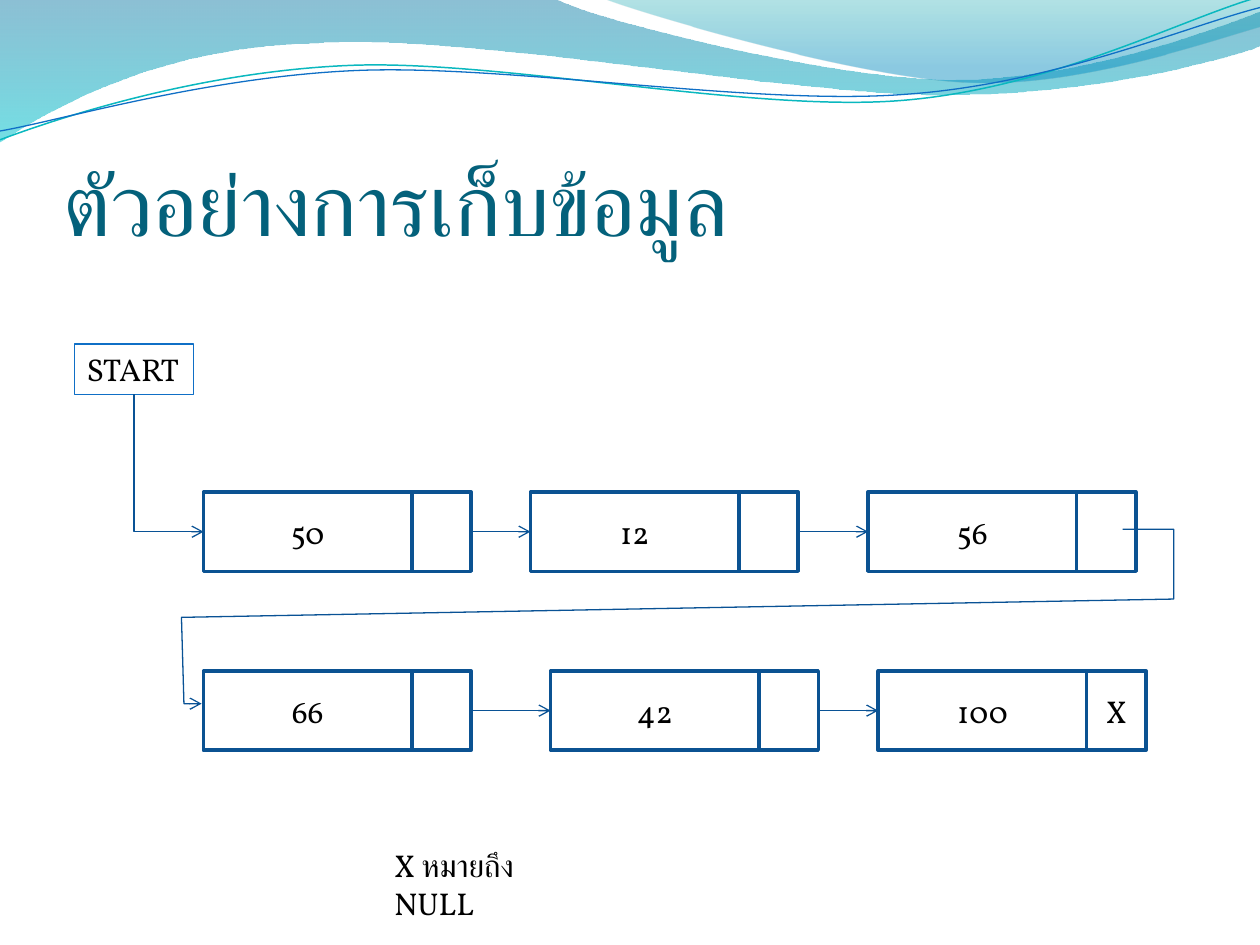
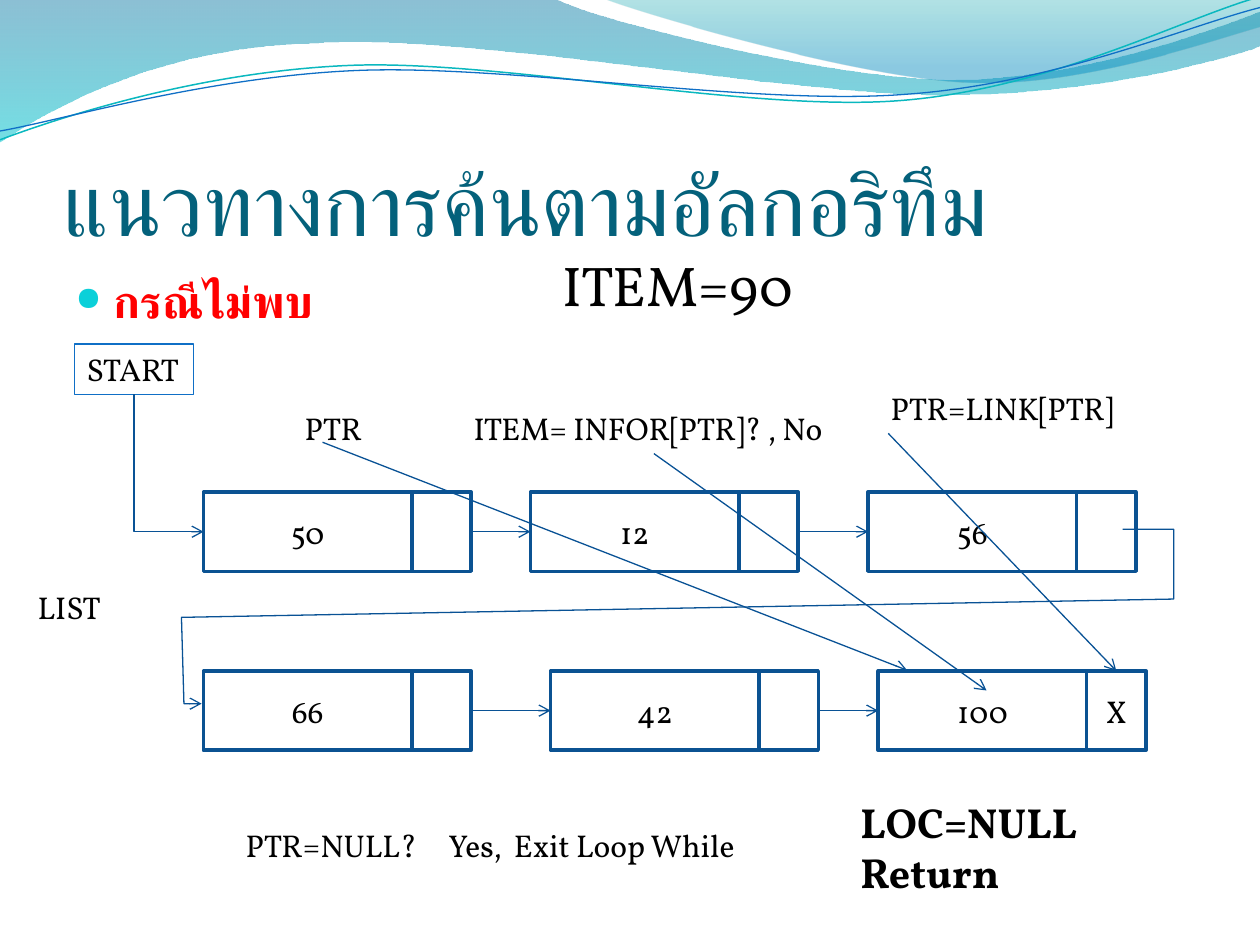
from dataclasses import dataclass

from lxml.etree import SubElement
from pptx import Presentation
from pptx.dml.color import RGBColor
from pptx.enum.shapes import MSO_CONNECTOR as Link, MSO_SHAPE as Preset
from pptx.enum.text import MSO_ANCHOR as Anchor, PP_ALIGN as Align
from pptx.oxml.ns import qn
from pptx.util import Inches, Pt

# Grid of 100 columns and 75 rows, with square cells
SLIDE_WIDTH, SLIDE_HEIGHT = Inches(10), Inches(7.5)
CELL = SLIDE_WIDTH / 100


@dataclass(frozen=True)
class Theme:
    heading_font: str = "Calibri"
    body_font: str = "Vollkorn"
    title: str = "04617B"
    text: str = "000000"
    alert: str = "FF0000"
    bullet: str = "0BD0D9"
    node_fill: str = "FFFFFF"
    node_line: str = "0B5292"
    arrow: str = "095295"
    accent: str = "0F6FC6"
    teal: str = "0AB8BF"
    title_size: float = 50
    item_size: float = 32
    bullet_size: float = 26
    result_size: float = 24
    label_size: float = 18
    thin: float = 0.75
    thick: float = 2


THEME = Theme()


@dataclass(frozen=True)
class Box:
    """An area in grid columns and rows."""
    left: float
    top: float
    width: float
    height: float

    def inner(self, left, top, width, height):
        return Box(self.left + left, self.top + top, width, height)

    def point(self, column, row):
        return grid(self.left + column), grid(self.top + row)

    def emu(self):
        return [grid(n) for n in (self.left, self.top, self.width, self.height)]


PAGE = Box(0, 0, 100, 75)
TITLE = Box(5.05, 7.65, 90, 12.5)
DIAGRAM = Box(5.9, 27.3, 87.2, 32.2)


def grid(cells):
    return round(cells * CELL)


def rgb(value):
    return RGBColor.from_string(value)


# Formatting helpers
def set_line(shape, color, width, arrow=False):
    shape.line.color.rgb = rgb(color)
    shape.line.width = Pt(width)
    if arrow:
        SubElement(shape._element.spPr.find(qn("a:ln")), qn("a:tailEnd"), type="arrow")


def write(shape, text, size, font=THEME.body_font, color=THEME.text, bold=False,
          align=Align.LEFT, anchor=Anchor.TOP):
    frame = shape.text_frame
    frame.text = text
    frame.word_wrap = True
    frame.vertical_anchor = anchor
    for para in frame.paragraphs:
        para.alignment = align
        for span in para.runs:
            span.font.name = font
            span.font.size = Pt(size)
            span.font.bold = bold
            span.font.color.rgb = rgb(color)
    return frame


def add_text(page, box, text, size=THEME.label_size, **style):
    return write(page.shapes.add_textbox(*box.emu()), text, size, **style)


def add_rectangle(page, box, line, width, fill=None):
    shape = page.shapes.add_shape(Preset.RECTANGLE, *box.emu())
    shape.shadow.inherit = False
    if fill:
        shape.fill.solid()
        shape.fill.fore_color.rgb = rgb(fill)
    else:
        shape.fill.background()
    set_line(shape, line, width)
    return shape


def add_arrow(page, start=(0, 0), end=(0, 0), source=None, target=None,
              target_side=1, kind=Link.STRAIGHT, source_side=3):
    arrow = page.shapes.add_connector(kind, *start, *end)
    if source is not None:
        arrow.begin_connect(source, source_side)
    if target is not None:
        arrow.end_connect(target, target_side)
    set_line(arrow, THEME.arrow, THEME.thin, arrow=True)
    SubElement(arrow._element.spPr, qn("a:effectLst"))
    return arrow


def add_outline(page, box, steps, closed=False):
    """Draw steps: pairs are corners, sixes are cubic curves."""
    knots = [box.point(*step[-2:]) for step in steps]
    builder = page.shapes.build_freeform(*knots[0])
    builder.add_line_segments(knots[1:], close=closed)
    shape = builder.convert_to_shape()
    shape.shadow.inherit = False
    shape.fill.background()
    segments = list(shape._element.spPr.iter(qn("a:lnTo")))
    for segment, step in zip(segments, steps[1:]):
        if len(step) == 6:
            segment.clear()
            segment.tag = qn("a:cubicBezTo")
            for index in (0, 2, 4):
                x, y = box.point(*step[index:index + 2])
                SubElement(segment, qn("a:pt"), x=str(x - shape.left), y=str(y - shape.top))
    return shape


# Wave band
BROAD_WAVE = [
    (0, 0), (44, -0.1), (47.6, 1.7, 66.4, 6.3, 75.8, 6.3),
    (85.3, 6.3, 95.8, 2.6, 100, 0.9), (100.1, 3.6),
    (98.3, 4.4, 87, 7.6, 74.6, 7.5), (62.2, 7.5, 38.2, 2.8, 25.7, 3.4),
    (12.9, 3.6, 4.6, 8.3, -0.1, 11.3), (0, 0)]
RIGHT_WAVE = [
    (47.9, -0.1), (50.9, 1.1, 68.2, 6.2, 76.9, 6.5),
    (85.6, 6.9, 96.1, 3.2, 100, 2.1), (100, 0), (47.9, -0.1)]
TEAL_CURVE = [
    (0, 11.1), (4.8, 9.3, 15.8, 5.7, 27.7, 5.2),
    (39.5, 4.7, 59.3, 8.9, 71.3, 8), (83.3, 7.1, 93.8, 1.5, 99.8, -0.2)]
BLUE_CURVE = [
    (0, 10.4), (4.7, 9.6, 16.4, 6.1, 28.3, 5.6),
    (40.3, 5.1, 59.7, 8.4, 71.7, 7.5), (83.6, 6.7, 94.1, 2.1, 100, 0.6)]


def wave_band(page, box):
    fills = [(BROAD_WAVE, [(0, "0074A1", 45), (1, "00C6CF", 55)]),
             (RIGHT_WAVE, [(0, "00A1A9", 30), (0.8, "008BBF", 45)])]
    for steps, stops in fills:
        wave = add_outline(page, box, steps, closed=True)
        wave.line.fill.background()
        wave.fill.gradient()
        wave.fill.gradient_angle = 270
        for stop, (position, color, _) in zip(wave.fill.gradient_stops, stops):
            stop.position = position
            stop.color.rgb = rgb(color)
        colors = wave._element.spPr.iter(qn("a:srgbClr"))
        for element, (_, _, opacity) in zip(colors, stops):
            SubElement(element, qn("a:alpha"), val=str(opacity * 1000))
    for steps, color, width in [(TEAL_CURVE, THEME.teal, 0.85),
                                (BLUE_CURVE, THEME.accent, THEME.thin)]:
        set_line(add_outline(page, box, steps), color, width)


def title_region(page, box, text):
    frame = add_text(page, box, text, THEME.title_size, font=THEME.heading_font,
                     color=THEME.title, anchor=Anchor.BOTTOM)
    frame.margin_left = frame.margin_right = frame.margin_bottom = 0


# Linked list diagram
INFO_WIDTH, LINK_WIDTH, NODE_HEIGHT = 16.55, 4.7, 6.3
LIST_ROWS = [
    (11.75, [(10.25, "50", ""), (36.2, "12", ""), (63, "56", "")]),
    (25.95, [(10.25, "66", ""), (37.8, "42", ""), (63.8, "100", "X")])]
ROW_RETURN = [(83.2, 14.7), (87.25, 14.7), (87.25, 20.25),
              (8.5, 21.7), (8.7, 28.55), (10.1, 28.55)]


def list_node(page, box, info, link):
    cells = []
    for offset, width, text in [(0, INFO_WIDTH, info),
                                (INFO_WIDTH, LINK_WIDTH, link)]:
        cell = add_rectangle(page, box.inner(offset, 0, width, box.height),
                             THEME.node_line, THEME.thick, THEME.node_fill)
        if text:
            write(cell, text, THEME.label_size, align=Align.CENTER, anchor=Anchor.MIDDLE)
        cells.append(cell)
    return cells


def start_arrow(page, start, first):
    arrow = add_arrow(page, source=start, source_side=2, target=first, kind=Link.ELBOW)
    # One bend: the frame is turned a quarter about its centre
    left, top, width, height = arrow.left, arrow.top, arrow.width, arrow.height
    arrow.left = left + (width - height) // 2
    arrow.top = top + (height - width) // 2
    arrow.width, arrow.height = height, width
    properties = arrow._element.spPr
    properties.find(qn("a:prstGeom")).set("prst", "bentConnector2")
    frame = properties.find(qn("a:xfrm"))
    frame.set("rot", str(270 * 60000))
    frame.set("flipH", "1")


def linked_list(page, box):
    """Draw the list and return its last link cell."""
    start = add_rectangle(page, box.inner(0, 0, 9.45, 4), THEME.accent, THEME.thin)
    write(start, "START", THEME.label_size)
    rows = [[list_node(page, box.inner(left, top, INFO_WIDTH + LINK_WIDTH, NODE_HEIGHT),
                       info, link) for left, info, link in nodes]
            for top, nodes in LIST_ROWS]
    start_arrow(page, start, rows[0][0][0])
    for row in rows:
        for (_, link), (info, _) in zip(row, row[1:]):
            add_arrow(page, source=link, target=info)
    turn = add_outline(page, box, ROW_RETURN)
    set_line(turn, THEME.arrow, THEME.thin, arrow=True)
    return rows[-1][-1][1]


# Search notes around the list
def case_bullet(page, box, text):
    frame = add_text(page, box, text, THEME.bullet_size, color=THEME.alert, bold=True)
    properties = frame.paragraphs[0]._p.get_or_add_pPr()
    properties.set("marL", str(Inches(0.3)))
    properties.set("indent", str(-Inches(0.3)))
    SubElement(SubElement(properties, qn("a:buClr")), qn("a:srgbClr"), val=THEME.bullet)
    SubElement(properties, qn("a:buSzPct"), val="73000")
    SubElement(properties, qn("a:buChar"), char="●")


def search_notes(page, box, last_link):
    for area, text in [((23.2, 32, 6.6, 4), "PTR"),
                       ((36.6, 32, 30.5, 4), "ITEM= INFOR[PTR]? , No"),
                       ((69.7, 30.4, 20.2, 4), "PTR=LINK[PTR]"),
                       ((2, 46.2, 7.1, 4), "LIST")]:
        add_text(page, box.inner(*area), text)
    add_arrow(page, box.point(25.6, 35.1), box.point(72, 53.2))
    add_arrow(page, box.point(51.9, 36), box.point(78.3, 54.8))
    add_arrow(page, box.point(70.5, 34.4), target=last_link, target_side=0)
    add_text(page, box.inner(43.7, 19.4, 20.3, 6.4), "ITEM=90", THEME.item_size)
    add_text(page, box.inner(67.3, 62.7, 19.8, 9.1), "LOC=NULL\nReturn",
             THEME.result_size, bold=True)
    # Loop exit, spaced by tab stops
    frame = add_text(page, box.inner(18.5, 65.1, 41.8, 4),
                     "PTR=NULL?\tYes,\tExit Loop While")
    stops = SubElement(frame.paragraphs[0]._p.get_or_add_pPr(), qn("a:tabLst"))
    for position in (1.61, 2.13):
        SubElement(stops, qn("a:tab"), pos=str(Inches(position)), algn="l")


# Slides
def list_slide(deck, title):
    page = deck.slides.add_slide(deck.slide_layouts[6])
    wave_band(page, PAGE)
    title_region(page, TITLE, title)
    return page, linked_list(page, DIAGRAM)


def main():
    deck = Presentation()
    deck.slide_width, deck.slide_height = SLIDE_WIDTH, SLIDE_HEIGHT

    page, _ = list_slide(deck, "ตัวอย่างการเก็บข้อมูล")
    add_text(page, PAGE.inner(30.3, 66.65, 17.4, 4), "X หมายถึง NULL")

    page, last_link = list_slide(deck, "แนวทางการค้นตามอัลกอริทึม")
    case_bullet(page, PAGE.inner(5, 21.2, 90, 48), "กรณีไม่พบ")
    search_notes(page, PAGE, last_link)

    deck.save("out.pptx")


if __name__ == "__main__":
    main()
